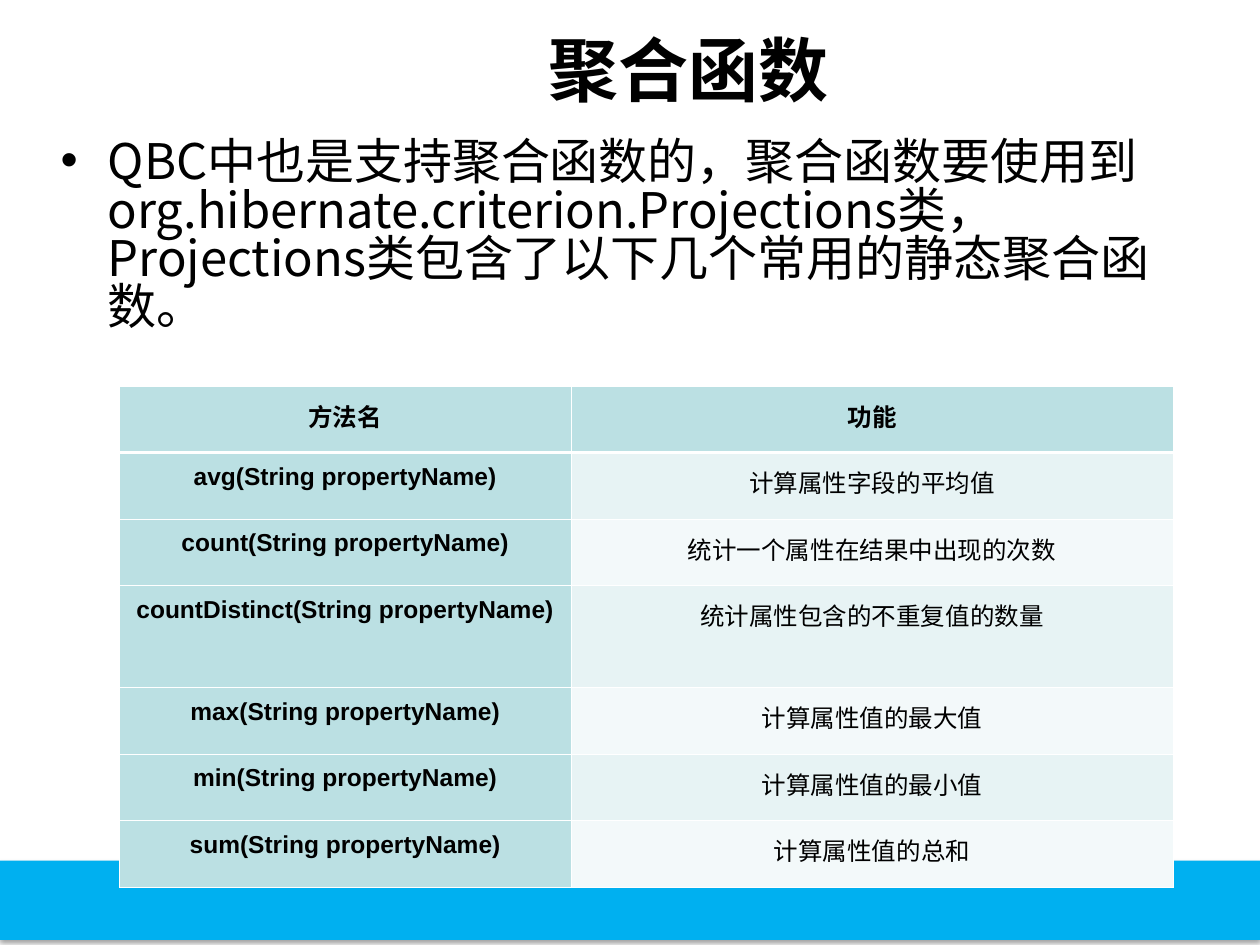
from typing import NamedTuple

from lxml.etree import SubElement
from pptx import Presentation
from pptx.dml.color import RGBColor
from pptx.enum.shapes import MSO_SHAPE as Shape
from pptx.enum.text import MSO_ANCHOR as Anchor, MSO_AUTO_SIZE as AutoSize, PP_ALIGN as Align
from pptx.oxml.ns import qn
from pptx.util import Cm, Pt


class Method(NamedTuple):
    name: str
    purpose: str


TITLE = "聚合函数"
INTRO = ("QBC中也是支持聚合函数的，聚合函数要使用到org.hibernate.criterion.Projections类，"
         "Projections类包含了以下几个常用的静态聚合函数。")
HEADER = Method("方法名", "功能")
METHODS = [
    Method("avg(String propertyName)", "计算属性字段的平均值"),
    Method("count(String propertyName)", "统计一个属性在结果中出现的次数"),
    Method("countDistinct(String propertyName)", "统计属性包含的不重复值的数量"),
    Method("max(String propertyName)", "计算属性值的最大值"),
    Method("min(String propertyName)", "计算属性值的最小值"),
    Method("sum(String propertyName)", "计算属性值的总和"),
]

BLACK, WHITE, SKY = "000000", "FFFFFF", "00B0F0"
HEAD_FILL = "BBE0E3"
BAND_FILLS = ("F3F9FA", "E7F3F4")
SANS, HAN = "Arial", "Noto Sans CJK SC"
COLUMN_WIDTHS = (Cm(9.1), Cm(12.14))
ROW_HEIGHT, TALL_ROW_HEIGHT, TALL_ROW = Cm(1.34), Cm(2.06), 3
THIN, THICK = Pt(0.45), Pt(1.47)


def color(value: str) -> RGBColor:
    return RGBColor.from_string(value)


def set_values(target, values: dict) -> None:
    for name, value in values.items():
        setattr(target, name, value)


def place(box, left: float, top: float, width: float, height: float) -> None:
    """Position a shape, with lengths in centimetres."""
    set_values(box, {"left": Cm(left), "top": Cm(top),
                     "width": Cm(width), "height": Cm(height)})


def write(frame, text: str, font: str, size: float, bold: bool, para_format: dict):
    """Write one paragraph in the given fonts and return it."""
    frame.word_wrap = True
    para = frame.paragraphs[0]
    set_values(para, para_format)
    span = para.add_run()
    span.text = text
    set_values(span.font, {"name": font, "size": Pt(size), "bold": bold})
    span.font.color.rgb = color(BLACK)
    SubElement(span.font._element, qn("a:ea")).set("typeface", HAN)
    return para


def add_footer_band(page) -> None:
    band = page.shapes.add_shape(Shape.RECTANGLE, Cm(-0.02), Cm(17.35), Cm(25.42), Cm(1.6))
    band.fill.solid()
    band.fill.fore_color.rgb = color(SKY)
    band.line.fill.background()
    band.shadow.inherit = False
    effects = band.element.spPr.find(qn("a:effectLst"))
    shadow = SubElement(effects, qn("a:outerShdw"), blurRad=str(Pt(3)), dist=str(Pt(1.6)),
                        dir="5400000", rotWithShape="0")
    shade = SubElement(shadow, qn("a:srgbClr"), val=BLACK)
    SubElement(shade, qn("a:alpha"), val="38000")
    band.element.getparent().insert(2, band.element)


def add_borders(cell, widths: dict[str, int]) -> None:
    properties = cell._tc.get_or_add_tcPr()
    for side, width in widths.items():
        line = SubElement(properties, qn(f"a:ln{side}"), w=str(int(width)))
        fill = SubElement(line, qn("a:solidFill"))
        SubElement(fill, qn("a:srgbClr"), val=WHITE)


def fill_cell(cell, text: str, row: int, column: int) -> None:
    heading = row == 0 or column == 0
    set_values(cell, {"margin_left": Cm(0.2), "margin_right": Cm(0.2),
                      "margin_top": Cm(0.13), "margin_bottom": Cm(0.13),
                      "vertical_anchor": Anchor.TOP})
    add_borders(cell, {"L": THIN, "R": THIN,
                       "T": THICK if row == 1 else THIN,
                       "B": THICK if row == 0 else THIN})
    cell.fill.solid()
    cell.fill.fore_color.rgb = color(HEAD_FILL if heading else BAND_FILLS[row % 2])
    write(cell.text_frame, text, SANS, 14, heading,
          {"alignment": Align.CENTER, "line_spacing": 1.15})


def add_method_table(page, entries: list[Method]) -> None:
    table = page.shapes.add_table(len(entries), len(COLUMN_WIDTHS), Cm(2.41), Cm(7.78),
                                  sum(COLUMN_WIDTHS), ROW_HEIGHT * len(entries)).table
    for column, width in zip(table.columns, COLUMN_WIDTHS):
        column.width = width
    for row, entry in enumerate(entries):
        table.rows[row].height = TALL_ROW_HEIGHT if row == TALL_ROW else ROW_HEIGHT
        for column, text in enumerate(entry):
            fill_cell(table.cell(row, column), text, row, column)


def add_intro(box) -> None:
    place(box, 0.97, 2.72, 22.86, 12.57)
    box.text_frame.auto_size = AutoSize.NONE
    para = write(box.text_frame, INTRO, HAN, 28, False,
                 {"space_before": Pt(7), "line_spacing": 0.82})
    properties = para._p.get_or_add_pPr()
    properties.set("marL", str(Cm(0.95)))
    properties.set("indent", str(Cm(-0.95)))
    SubElement(properties, qn("a:buFont"), typeface=SANS)
    SubElement(properties, qn("a:buChar"), char="•")


def main() -> None:
    deck = Presentation()
    set_values(deck, {"slide_width": Cm(25.4), "slide_height": Cm(19.05)})
    page = deck.slides.add_slide(deck.slide_layouts[1])
    add_footer_band(page)
    title, body = page.placeholders
    place(title, 2.41, 0.05, 22.94, 2.67)
    title.text_frame.auto_size = AutoSize.NONE
    write(title.text_frame, TITLE, SANS, 40, True, {"alignment": Align.CENTER})
    add_intro(body)
    add_method_table(page, [HEADER, *METHODS])
    deck.save("out.pptx")


if __name__ == "__main__":
    main()
